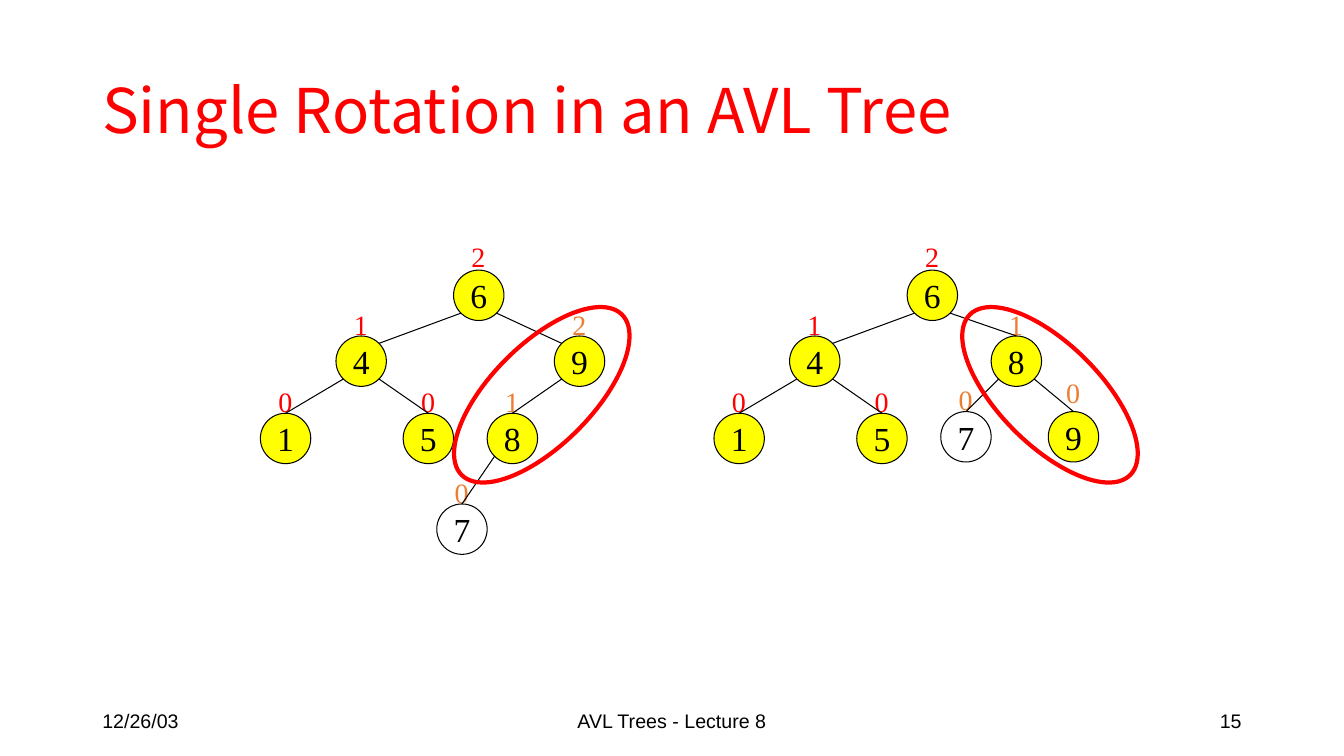
"""Build a slide showing one AVL tree before and after a single rotation."""
from dataclasses import dataclass
from math import sqrt

from lxml import etree
from pptx import Presentation
from pptx.dml.color import RGBColor
from pptx.enum.shapes import MSO_CONNECTOR, MSO_SHAPE
from pptx.enum.text import MSO_ANCHOR, MSO_AUTO_SIZE, PP_ALIGN
from pptx.oxml.ns import qn
from pptx.util import Inches, Pt

STRAIGHT = MSO_CONNECTOR.STRAIGHT
OVAL = MSO_SHAPE.OVAL
TOP, MIDDLE = MSO_ANCHOR.TOP, MSO_ANCHOR.MIDDLE
FIT_SHAPE = MSO_AUTO_SIZE.SHAPE_TO_FIT_TEXT
LEFT, CENTER, RIGHT = PP_ALIGN.LEFT, PP_ALIGN.CENTER, PP_ALIGN.RIGHT
COLORS = {"red": "FF0000", "orange": "ED7D31", "yellow": "FFFF00", "black": "000000"}
SANS, SERIF, TITLE_FONT = "Arial", "Times New Roman", "Noto Sans CJK KR"

COLUMNS, ROWS = 160, 90
HEIGHT = Inches(7.5)
WIDTH = HEIGHT * 16 // 9
DIAMETER = 6
DIAGONAL = DIAMETER / 2 / sqrt(2)
LABEL_WIDTH, LABEL_HEIGHT = 4.1, 5.2
ROOT_ROW, CHILD_ROW, LEAF_ROW = 35.16, 43, 52.2


@dataclass(frozen=True)
class Node:
    key: str
    column: float
    row: float
    height: str
    label_color: str = "red"
    parent: str = ""
    joins_corner: bool = False
    fill: str = "yellow"
    label_lift: float = 4


@dataclass(frozen=True)
class Highlight:
    column: float
    row: float
    rotation: float


@dataclass(frozen=True)
class Tree:
    offset: float
    nodes: tuple[Node, ...]
    highlight: Highlight


@dataclass(frozen=True)
class Footer:
    text: str
    column: float
    width: float
    align: PP_ALIGN


SHARED = (
    Node("6", 57, ROOT_ROW, "2", label_lift=4.2),
    Node("4", 43, CHILD_ROW, "1", parent="6", joins_corner=True),
    Node("1", 34, LEAF_ROW, "0", parent="4"),
    Node("5", 51, LEAF_ROW, "0", parent="4"),
)
TREES = (
    Tree(0, SHARED + (
        Node("9", 69, CHILD_ROW, "2", "orange", "6", joins_corner=True),
        Node("8", 61, LEAF_ROW, "1", "orange", "9"),
        Node("7", 55, 63, "0", "orange", "8", fill=""),
    ), Highlight(64.5, 47, 315)),
    Tree(54, SHARED + (
        Node("8", 67, CHILD_ROW, "1", "orange", "6"),
        Node("9", 73.8, 52, "0", "orange", "8", label_lift=4.9),
        Node("7", 61, 52, "0", "orange", "8", fill=""),
    ), Highlight(71, 47, 45)),
)
FOOTERS = (
    Footer("12/26/03", 11, 36, LEFT),
    Footer("AVL Trees - Lecture 8", 53, 54, CENTER),
    Footer("15", 113, 36, RIGHT),
)


def color(name: str) -> RGBColor:
    return RGBColor.from_string(COLORS[name])


def across(columns: float) -> int:
    return round(WIDTH * columns / COLUMNS)


def down(rows: float) -> int:
    return round(HEIGHT * rows / ROWS)


def place(column: float, row: float, width: float, height: float) -> tuple[int, ...]:
    return across(column), down(row), across(width), down(height)


def write(box, text: str, *, size: float, font: str, ink: str = "black",
          align: PP_ALIGN = LEFT, anchor: MSO_ANCHOR = MIDDLE,
          wrap: bool = True, spacing: float = 1.0) -> None:
    frame = box.text_frame
    frame.word_wrap = wrap
    frame.vertical_anchor = anchor
    para = frame.paragraphs[0]
    para.alignment = align
    para.line_spacing = spacing
    span = para.add_run()
    span.text = text
    span.font.size = Pt(size)
    span.font.name = font
    span.font.color.rgb = color(ink)


def add_oval(page, column: float, row: float, width: float, height: float, *,
             fill: str = "", line: str = "black", weight: float = 0.75):
    oval = page.shapes.add_shape(
        OVAL, *place(column - width / 2, row - height / 2, width, height))
    oval.shadow.inherit = False
    if fill:
        oval.fill.solid()
        oval.fill.fore_color.rgb = color(fill)
    else:
        oval.fill.background()
    oval.line.color.rgb = color(line)
    oval.line.width = Pt(weight)
    return oval


def add_label(page, node: Node, offset: float) -> None:
    label = page.shapes.add_textbox(*place(
        node.column + offset - LABEL_WIDTH / 2,
        node.row - DIAMETER / 2 - node.label_lift, LABEL_WIDTH, LABEL_HEIGHT))
    write(label, node.height, size=20, font=SERIF, ink=node.label_color,
          anchor=TOP, wrap=False)
    label.text_frame.auto_size = FIT_SHAPE


def add_edge(page, parent: Node, child: Node, offset: float, child_oval) -> None:
    side = DIAGONAL if child.column > parent.column else -DIAGONAL
    edge = page.shapes.add_connector(
        STRAIGHT,
        across(parent.column + offset + side), down(parent.row + DIAGONAL),
        across(child.column + offset - side), down(child.row - DIAGONAL))
    if not child.joins_corner:
        edge.end_connect(child_oval, 0)
    edge.line.color.rgb = color("black")
    edge.line.width = Pt(0.75)
    etree.SubElement(edge._element.spPr, qn("a:effectLst"))


def add_tree(page, tree: Tree) -> None:
    for node in tree.nodes:
        add_label(page, node, tree.offset)
    ovals = {}
    for node in tree.nodes:
        oval = add_oval(page, node.column + tree.offset, node.row,
                        DIAMETER, DIAMETER, fill=node.fill)
        write(oval, node.key, size=24, font=SERIF, align=CENTER, wrap=False)
        ovals[node.key] = oval
    by_key = {node.key: node for node in tree.nodes}
    for node in tree.nodes:
        if node.parent:
            add_edge(page, by_key[node.parent], node, tree.offset, ovals[node.key])


def add_highlight(page, tree: Tree) -> None:
    mark = tree.highlight
    ring = add_oval(page, mark.column + tree.offset, mark.row, 27, 12,
                    line="red", weight=3)
    ring.rotation = mark.rotation


def main() -> None:
    deck = Presentation()
    deck.slide_width, deck.slide_height = WIDTH, HEIGHT
    page = deck.slides.add_slide(deck.slide_layouts[6])
    for footer in FOOTERS:
        box = page.shapes.add_textbox(*place(footer.column, 83.4, footer.width, 4.8))
        write(box, footer.text, size=14, font=SANS, align=footer.align)
    title = page.shapes.add_textbox(*place(11, 4.8, 138, 17.4))
    write(title, "Single Rotation in an AVL Tree", size=44, font=TITLE_FONT,
          ink="red", spacing=0.9)
    for tree in TREES:
        add_tree(page, tree)
    for tree in TREES:
        add_highlight(page, tree)
    deck.save("out.pptx")


if __name__ == "__main__":
    main()
